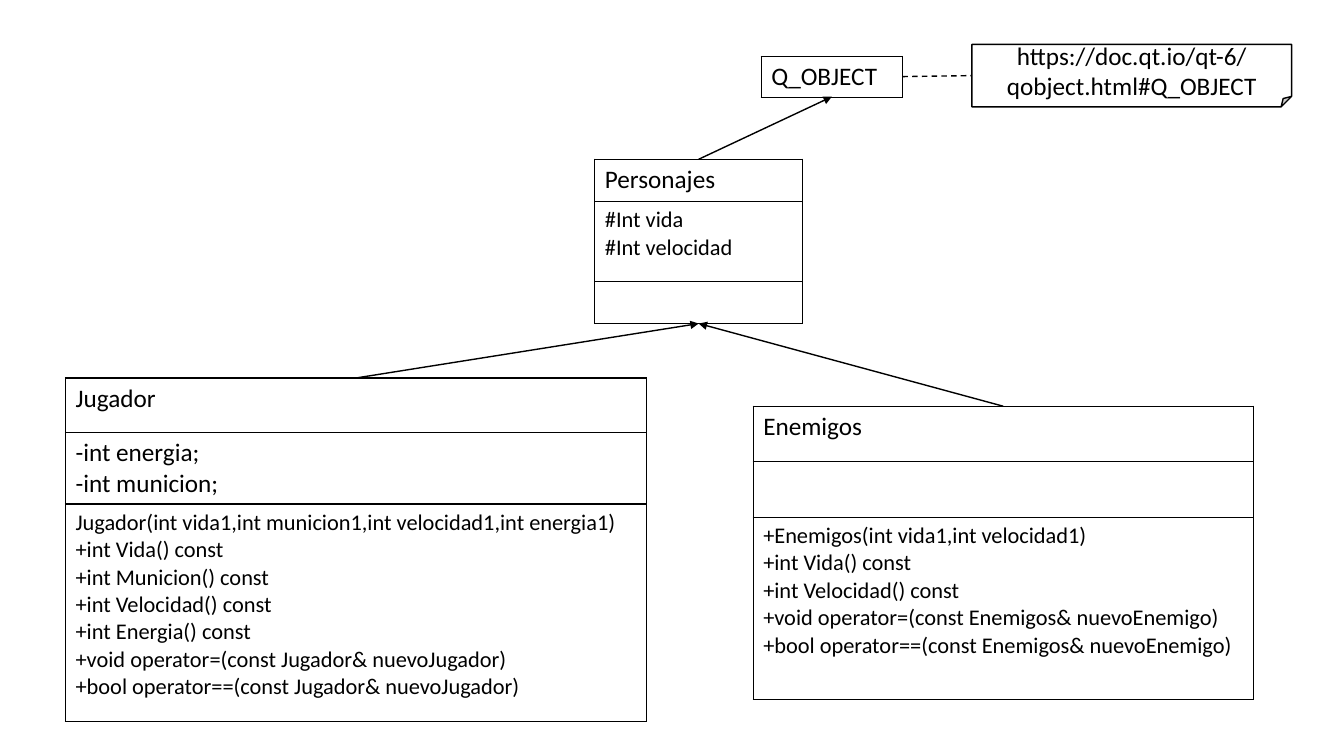
from lxml import etree
from pptx import Presentation
from pptx.dml.color import RGBColor
from pptx.enum.dml import MSO_LINE
from pptx.enum.shapes import MSO_CONNECTOR, MSO_SHAPE
from pptx.enum.text import MSO_ANCHOR, PP_ALIGN
from pptx.oxml.ns import qn
from pptx.util import Pt

BLACK = RGBColor(0, 0, 0)
WHITE = RGBColor(255, 255, 255)
STRAIGHT = MSO_CONNECTOR.STRAIGHT
FOLD = MSO_SHAPE.FOLDED_CORNER
DASH = MSO_LINE.DASH
MIDDLE = MSO_ANCHOR.MIDDLE
LEFT, CENTER = PP_ALIGN.LEFT, PP_ALIGN.CENTER
SCALE = 9144  # EMU per px, 100 px to the inch


def emu(*vals):
    return [v * SCALE for v in vals]


class Diagram:
    font = {"name": "Calibri", "bold": False}
    edge = Pt(1)

    def __init__(self, slide):
        self.slide = slide
        self.shapes = slide.shapes

    def label(self, frame, lines, size, align=LEFT):
        frame.text = "\n".join(lines)
        for para in frame.paragraphs:
            para.alignment = align
            for key, val in {**self.font, "size": Pt(size)}.items():
                setattr(para.font, key, val)
            para.font.color.rgb = BLACK

    def border(self, cell):
        props = cell._tc.get_or_add_tcPr()
        for side in ("a:lnL", "a:lnR", "a:lnT", "a:lnB"):
            line = etree.SubElement(props, qn(side), w=str(self.edge))
            fill = etree.SubElement(line, qn("a:solidFill"))
            etree.SubElement(fill, qn("a:srgbClr"), val=str(BLACK))

    def box(self, left, top, width, rows):
        """Draw a class box; each row is (height, text size, lines)."""
        height = sum(row[0] for row in rows)
        frame = self.shapes.add_table(len(rows), 1, *emu(left, top, width, height))
        table = frame.table
        for key, val in {"first_row": False, "horz_banding": False}.items():
            setattr(table, key, val)
        for i, (tall, size, lines) in enumerate(rows):
            table.rows[i].height = tall * SCALE
            cell = table.cell(i, 0)
            self.border(cell)
            cell.fill.background()
            self.label(cell.text_frame, lines, size)
        return left, top, width, height

    def note(self, left, top, width, height, text):
        shape = self.shapes.add_shape(FOLD, *emu(left, top, width, height))
        shape.shadow.inherit = False
        shape.fill.solid()
        shape.fill.fore_color.rgb = WHITE
        shape.line.color.rgb = BLACK
        shape.line.width = self.edge
        frame = shape.text_frame
        for key, val in {"word_wrap": True, "vertical_anchor": MIDDLE}.items():
            setattr(frame, key, val)
        self.label(frame, [text], 18, CENTER)
        return left, top, width, height

    def link(self, start, end):
        wire = self.shapes.add_connector(STRAIGHT, *emu(*start, *end))
        wire.line.color.rgb = BLACK
        wire.line.width = self.edge
        etree.SubElement(wire._element.spPr, qn("a:effectLst"))
        return wire.line

    def derive(self, child, parent):
        """Arrow from the top of the child to the bottom of its parent."""
        left, top, width, _ = child
        px, py, pw, ph = parent
        line = self.link((left + width // 2, top), (px + pw // 2, py + ph))
        etree.SubElement(line._get_or_add_ln(), qn("a:tailEnd"), type="triangle")

    def attach(self, item, note):
        """Dashed line from the right of the item to the left of the note."""
        left, top, width, height = item
        nx, ny, _, nh = note
        line = self.link((left + width, top + height // 2), (nx, ny + nh // 2))
        line.dash_style = DASH


def main():
    deck = Presentation()
    deck.slide_width, deck.slide_height = emu(1333, 750)
    uml = Diagram(deck.slides.add_slide(deck.slide_layouts[6]))

    # Class boxes
    player = uml.box(65, 375, 576, [
        (54, 18, ["Jugador"]),
        (71, 18, ["-int energia;", "-int municion;"]),
        (216, 16, [
            "Jugador(int vida1,int municion1,int velocidad1,int energia1)",
            "+int Vida() const",
            "+int Municion() const",
            "+int Velocidad() const",
            "+int Energia() const",
            "+void operator=(const Jugador& nuevoJugador)",
            "+bool operator==(const Jugador& nuevoJugador)",
        ]),
    ])
    enemy = uml.box(747, 403, 496, [
        (55, 18, ["Enemigos"]),
        (55, 18, []),
        (181, 16, [
            "+Enemigos(int vida1,int velocidad1)",
            "+int Vida() const",
            "+int Velocidad() const",
            "+void operator=(const Enemigos& nuevoEnemigo)",
            "+bool operator==(const Enemigos& nuevoEnemigo)",
        ]),
    ])
    base = uml.box(590, 158, 206, [
        (42, 18, ["Personajes"]),
        (79, 16, ["#Int vida", "#Int velocidad"]),
        (42, 18, []),
    ])
    root = uml.box(755, 56, 140, [(40, 18, ["Q_OBJECT"])])

    # Reference note
    note = uml.note(964, 44, 317, 62, "https://doc.qt.io/qt-6/qobject.html#Q_OBJECT")

    # Inheritance arrows and note link
    for child, parent in ((player, base), (enemy, base), (base, root)):
        uml.derive(child, parent)
    uml.attach(root, note)

    deck.save("out.pptx")


if __name__ == "__main__":
    main()
